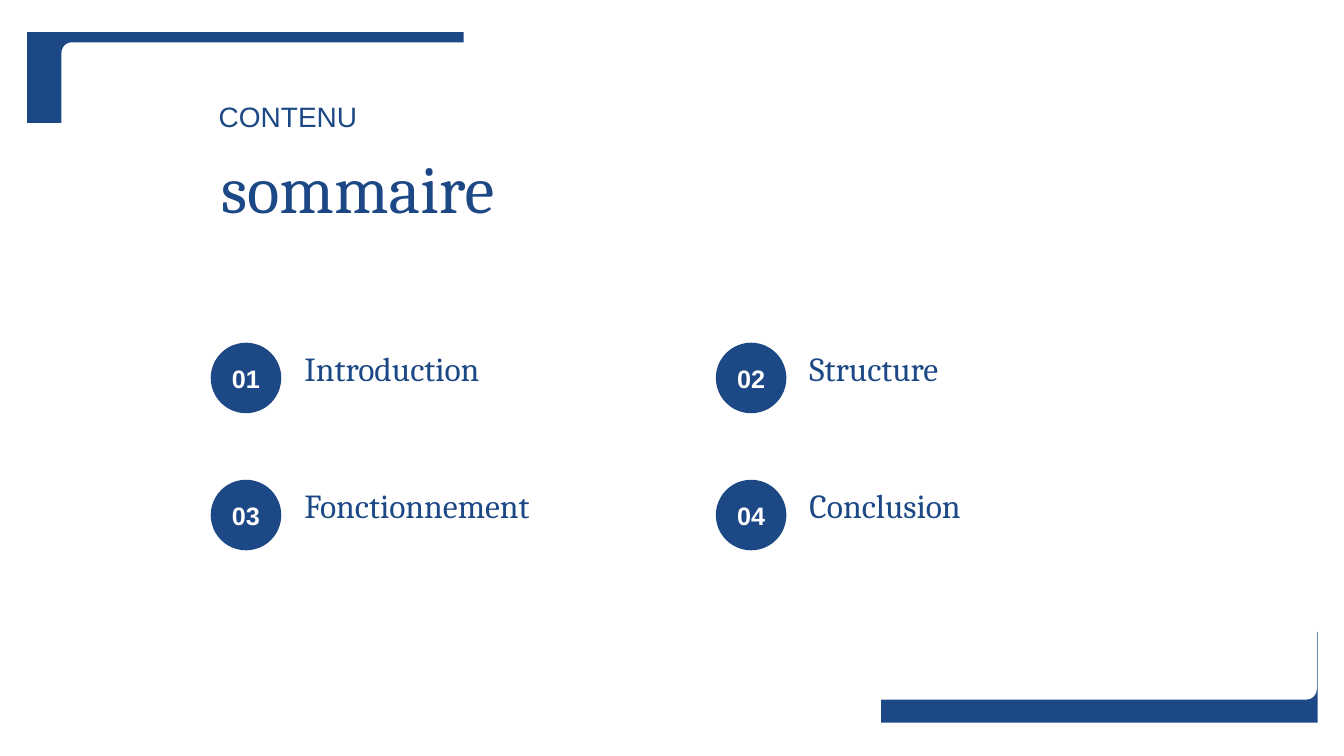
import pptx
import pptx.util
import pptx.dml.color
import pptx.enum.shapes
import pptx.enum.text

Inches = pptx.util.Inches
SHAPE = pptx.enum.shapes.MSO_SHAPE
ALIGN = pptx.enum.text.PP_ALIGN
ANCHOR = pptx.enum.text.MSO_ANCHOR
NAVY, WHITE = "1C4885", "FFFFFF"

HEADING = {"name": "Cambria", "size": pptx.util.Pt(48), "bold": False}
LABEL = {"name": "Arial", "size": pptx.util.Pt(20), "bold": False}
NUMBER = {"name": "Arial", "size": pptx.util.Pt(18), "bold": True}
CHAPTER = {"name": "Cambria", "size": pptx.util.Pt(24), "bold": False}

deck = pptx.Presentation()
deck.slide_width, deck.slide_height = Inches(13.33), Inches(7.5)
slide = deck.slides.add_slide(deck.slide_layouts[5])


def add_block(kind, left, top, width, height, color):
    block = slide.shapes.add_shape(
        kind, Inches(left), Inches(top), Inches(width), Inches(height))
    block.shadow.inherit = False
    block.fill.solid()
    block.fill.fore_color.rgb = pptx.dml.color.RGBColor.from_string(color)
    block.line.fill.background()
    return block


def write(holder, text, font_format, color, align=ALIGN.LEFT, anchor=ANCHOR.TOP):
    frame = holder.text_frame
    frame.text = text
    frame.word_wrap = True
    frame.auto_size = pptx.enum.text.MSO_AUTO_SIZE.NONE
    frame.vertical_anchor = anchor
    paragraph = frame.paragraphs[0]
    paragraph.alignment = align
    for name, value in font_format.items():
        setattr(paragraph.font, name, value)
    paragraph.font.color.rgb = pptx.dml.color.RGBColor.from_string(color)


# Corner accents, partly covered by the white card
for left, top in [(8.74, 6.27), (0.27, 0.32)]:
    add_block(SHAPE.RECTANGLE, left, top, 4.33, 0.9, NAVY)
card = add_block(SHAPE.ROUNDED_RECTANGLE, 0.61, 0.42, 12.45, 6.52, WHITE)
card.adjustments[0] = 0.016

# Title, brought in front of the card
heading = slide.shapes.title
heading.left, heading.top = Inches(2.09), Inches(1.4)
heading.width, heading.height = Inches(3.28), Inches(0.91)
write(heading, "sommaire", HEADING, NAVY)
slide.shapes.element.append(heading.element)

# Label above the title
label = slide.shapes.add_textbox(
    Inches(2.07), Inches(0.94), Inches(2.54), Inches(0.43))
write(label, "CONTENU", LABEL, NAVY, ALIGN.JUSTIFY)

# Numbered chapters in two columns
chapters = ["Introduction", "Structure", "Fonctionnement", "Conclusion"]
for index, chapter in enumerate(chapters):
    row, column = divmod(index, 2)
    left, top = 2.09 + 5.01 * column, 3.4 + 1.36 * row
    number = add_block(SHAPE.OVAL, left, top, 0.7, 0.7, NAVY)
    write(number, f"{index + 1:02d}", NUMBER, WHITE, ALIGN.CENTER, ANCHOR.MIDDLE)
    entry = slide.shapes.add_textbox(
        Inches(left + 0.83), Inches(top), Inches(4.05), Inches(0.5))
    write(entry, chapter, CHAPTER, NAVY)

deck.save("out.pptx")
